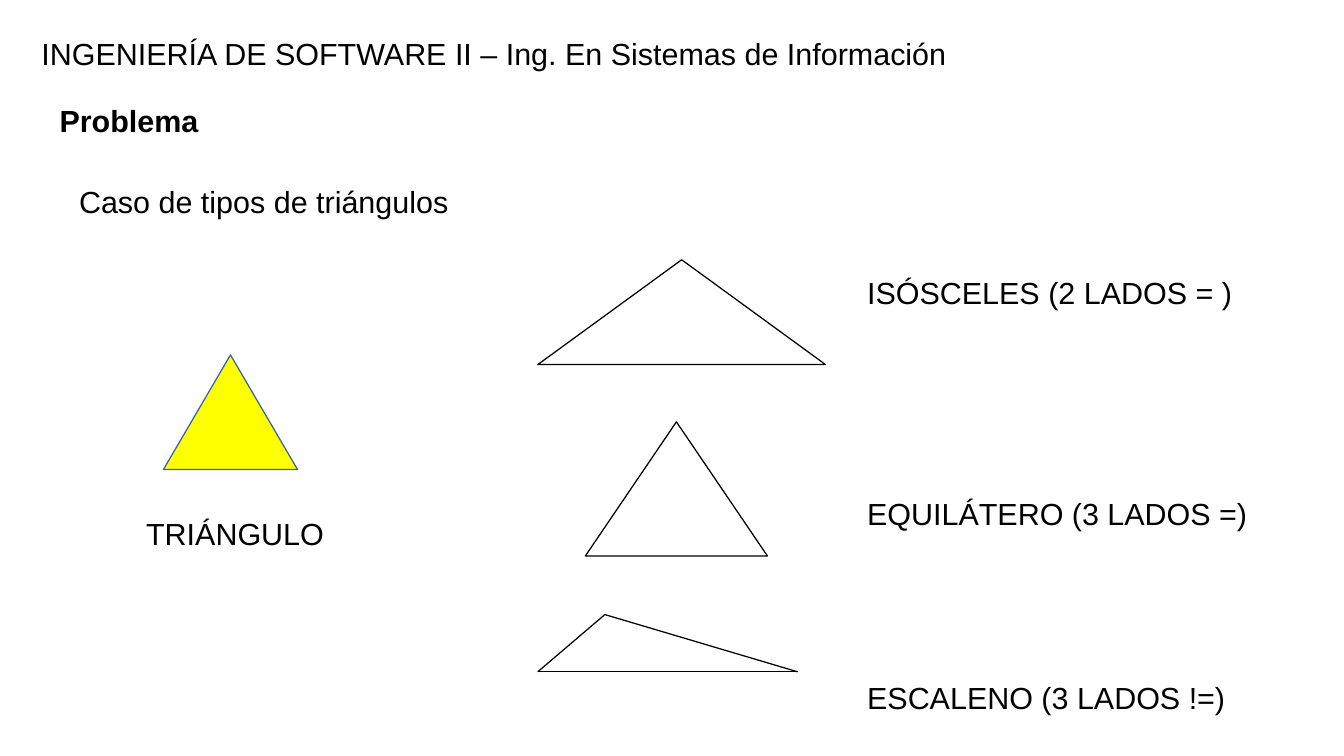
import pptx
import pptx.dml.color
import pptx.enum.shapes
import pptx.enum.text
import pptx.oxml.ns
import pptx.util
import itertools
import lxml.etree

Pt = pptx.util.Pt
BLACK = pptx.dml.color.RGBColor(0x00, 0x00, 0x00)
YELLOW = pptx.dml.color.RGBColor(0xFF, 0xFF, 0x00)
BLUE = pptx.dml.color.RGBColor(0x34, 0x65, 0xA4)
TEXT_HEIGHT = 28.8
LINE_WIDTH = 0.75


def place(shape, left, top, width, height):
    shape.left, shape.top = Pt(left), Pt(top)
    shape.width, shape.height = Pt(width), Pt(height)


def write(shape, lines, gaps=(0,), bold=False):
    """Write one paragraph per line, each with its gap above."""
    frame = shape.text_frame
    frame.text = "\n".join(lines)
    frame.word_wrap = True
    frame.auto_size = pptx.enum.text.MSO_AUTO_SIZE.NONE
    frame.vertical_anchor = pptx.enum.text.MSO_ANCHOR.TOP
    for paragraph, gap in zip(frame.paragraphs, gaps):
        paragraph.alignment = pptx.enum.text.PP_ALIGN.LEFT
        paragraph.space_before = Pt(gap)
        paragraph.font.name = "Arial"
        paragraph.font.size = Pt(18)
        paragraph.font.bold = bold
        paragraph.font.color.rgb = BLACK


def add_text(slide, text, left, top, width, bold=False):
    box = slide.shapes.add_textbox(Pt(left), Pt(top), Pt(width), Pt(TEXT_HEIGHT))
    write(box, [text], bold=bold)


def add_triangle(slide, left, top, width, height, line=BLACK, fill=None):
    shape = slide.shapes.add_shape(
        pptx.enum.shapes.MSO_SHAPE.ISOSCELES_TRIANGLE,
        Pt(left), Pt(top), Pt(width), Pt(height))
    shape.shadow.inherit = False
    if fill is None:
        shape.fill.background()
    else:
        shape.fill.solid()
        shape.fill.fore_color.rgb = fill
    shape.line.color.rgb = line
    shape.line.width = Pt(LINE_WIDTH)


def add_side(slide, start, end):
    side = slide.shapes.add_connector(
        pptx.enum.shapes.MSO_CONNECTOR.STRAIGHT,
        *(Pt(value) for value in start + end))
    side.line.color.rgb = BLACK
    side.line.width = Pt(LINE_WIDTH)
    properties = side.element.find(pptx.oxml.ns.qn("p:spPr"))
    lxml.etree.SubElement(properties, pptx.oxml.ns.qn("a:effectLst"))


def build_heading(slide, left, top, width):
    title = slide.shapes.title
    place(title, left, top, width, TEXT_HEIGHT)
    write(title, ["INGENIERÍA DE SOFTWARE II – Ing. En Sistemas de Información"])
    add_text(slide, "Problema", left + 10.8, top + 39.6, 487.4, bold=True)
    add_text(slide, "Caso de tipos de triángulos", left + 22.3, top + 87.1, 720)


def build_example(slide, left, top, width):
    # Yellow triangle with its caption below
    add_triangle(slide, left + 17.3, top, 79.2, 67.7, BLUE, YELLOW)
    add_text(slide, "TRIÁNGULO", left, top + 90.7, width)


def build_triangle_types(slide, left, top):
    add_triangle(slide, left, top, 169.9, 61.9)
    add_triangle(slide, left + 28.1, top + 95.7, 107.5, 79.2)
    # Scalene triangle: one line for each pair of corners
    base = top + 243.3
    corners = [(left, base), (left + 39.6, base - 33.8), (left + 153.4, base)]
    for start, end in itertools.combinations(corners, 2):
        add_side(slide, start, end)


def build_type_names(slide, left, top, width, height):
    body = slide.placeholders[1]
    place(body, left, top, width, height)
    names = ["ISÓSCELES (2 LADOS = )", "EQUILÁTERO (3 LADOS =)", "ESCALENO (3 LADOS !=)"]
    write(body, names, gaps=(0, 108.5, 87.3))
    # No bullets or indents
    for paragraph in body.text_frame.paragraphs:
        properties = paragraph.font._element.getparent()
        properties.set("marL", "0")
        properties.set("indent", "0")
        bullet = lxml.etree.Element(pptx.oxml.ns.qn("a:buNone"))
        paragraph.font._element.addprevious(bullet)


def main():
    presentation = pptx.Presentation()
    presentation.slide_width = Pt(793.44)
    presentation.slide_height = Pt(446.4)
    slide = presentation.slides.add_slide(presentation.slide_layouts[1])
    build_heading(slide, 17.3, 17.3, 697)
    build_example(slide, 79.2, 209.6, 130.3)
    build_triangle_types(slide, 317.5, 153.4)
    build_type_names(slide, 504.7, 158.4, 254.9, 266.4)
    presentation.save("out.pptx")


if __name__ == "__main__":
    main()
